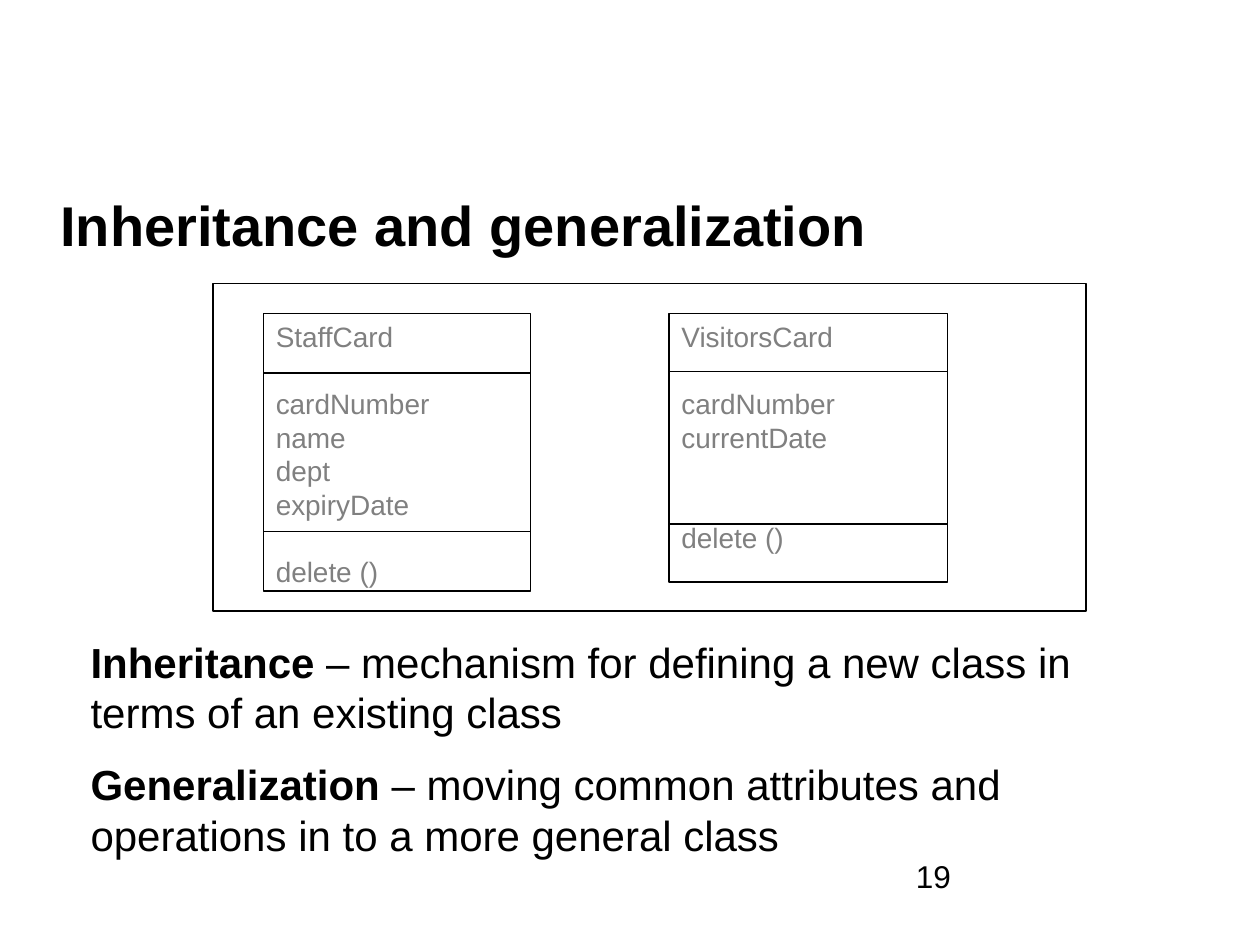
from lxml import etree
from pptx import Presentation
from pptx.dml.color import RGBColor
from pptx.enum.shapes import MSO_CONNECTOR, MSO_SHAPE
from pptx.enum.text import MSO_ANCHOR, MSO_AUTO_SIZE, PP_ALIGN
from pptx.oxml.ns import qn
from pptx.util import Inches, Pt

RECT = MSO_SHAPE.RECTANGLE
STRAIGHT = MSO_CONNECTOR.STRAIGHT
LEFT = PP_ALIGN.LEFT
TOP, MIDDLE = MSO_ANCHOR.TOP, MSO_ANCHOR.MIDDLE
NO_AUTOFIT = MSO_AUTO_SIZE.NONE

BLACK = RGBColor(0x00, 0x00, 0x00)
GRAY = RGBColor(0x80, 0x80, 0x80)
WHITE = RGBColor(0xFF, 0xFF, 0xFF)

TITLE_FONT = {"name": "Arial", "size": Pt(32), "bold": True}
BODY_FONT = {"name": "Arial", "size": Pt(24)}
NUMBER_FONT = {"name": "Arial", "size": Pt(18)}
CLASS_FONT = {"name": "Arial", "size": Pt(16)}
CLASS_LINE = 19  # points per line of class text

# name, box, divider heights, (text, lines skipped above)
CLASSES = [
    ("VisitorsCard", (5.31, 2.49, 2.21, 2.13), (0.46, 1.67),
     [("cardNumber", 1), ("currentDate", 0), ("delete ()", 2)]),
    ("StaffCard", (2.09, 2.49, 2.12, 2.2), (0.47, 1.73),
     [("cardNumber", 1), ("name", 0), ("dept", 0), ("expiryDate", 0),
      ("delete ()", 1)]),
]
DEFINITIONS = [
    ("Inheritance",
     " – mechanism for defining a new class in terms of an existing class"),
    ("Generalization",
     " – moving common attributes and operations in to a more general class"),
]


def inches(box):
    """Turn a tuple of numbers into lengths."""
    return [Inches(v) for v in box]


def add_run(p, text, font, color=BLACK, **extra):
    """Add a formatted run to a paragraph."""
    r = p.add_run()
    r.text = text
    for key, value in {**font, **extra}.items():
        setattr(r.font, key, value)
    r.font.color.rgb = color


def add_paragraph(tf, index):
    """Return the left-aligned paragraph at the index, new unless first."""
    p = tf.paragraphs[0] if index == 0 else tf.add_paragraph()
    p.alignment = LEFT
    return p


def set_frame(tf, anchor=TOP):
    """Set wrapping and anchoring of a text frame."""
    for key, value in {"word_wrap": True, "auto_size": NO_AUTOFIT,
                       "vertical_anchor": anchor}.items():
        setattr(tf, key, value)


def add_rect(shapes, box, width):
    """Add an unfilled, black-outlined rectangle."""
    sp = shapes.add_shape(RECT, *inches(box))
    sp.shadow.inherit = False
    sp.fill.background()
    sp.line.color.rgb = BLACK
    sp.line.width = Pt(width)
    return sp


def add_title(slide, box, text):
    """Place and format the title placeholder."""
    sp = slide.shapes.title
    sp.left, sp.top, sp.width, sp.height = inches(box)
    set_frame(sp.text_frame, MIDDLE)
    add_run(add_paragraph(sp.text_frame, 0), text, TITLE_FONT)


def add_class(slide, name, box, dividers, members):
    """Add a class box with its text and dividers as one group."""
    x, y, w, _ = box
    shapes = slide.shapes.add_group_shape().shapes
    sp = add_rect(shapes, box, 0.75)
    sp.fill.solid()
    sp.fill.fore_color.rgb = WHITE
    tf = sp.text_frame
    set_frame(tf)
    for i, (text, skipped) in enumerate([(name, 0)] + members):
        p = add_paragraph(tf, i)
        p.space_before = Pt(skipped * CLASS_LINE)
        add_run(p, text, CLASS_FONT, GRAY)
    for dy in dividers:
        line = shapes.add_connector(
            STRAIGHT, *inches((x, y + dy, x + w, y + dy)))
        line.line.color.rgb = BLACK
        line.line.width = Pt(0.75)
        etree.SubElement(line._element.spPr, qn("a:effectLst"))


def add_definitions(slide, box, definitions):
    """Add the definitions, each led by its bold term."""
    tf = slide.shapes.add_textbox(*inches(box)).text_frame
    set_frame(tf)
    for i, (term, meaning) in enumerate(definitions):
        p = add_paragraph(tf, i)
        p.space_before = Pt(12.5 if i else 0)
        add_run(p, term, BODY_FONT, bold=True)
        add_run(p, meaning, BODY_FONT, bold=False)


def add_number(slide, box, text):
    """Add the slide number."""
    tf = slide.shapes.add_textbox(*inches(box)).text_frame
    set_frame(tf)
    add_run(add_paragraph(tf, 0), text, NUMBER_FONT)


prs = Presentation()
prs.slide_width, prs.slide_height = Inches(10), Inches(7.5)
slide = prs.slides.add_slide(prs.slide_layouts[5])
add_number(slide, (7.17, 6.75, 2.08, 0.5), "19")
add_title(slide, (0.38, 1.4, 9.24, 0.76), "Inheritance and generalization")
add_definitions(slide, (0.62, 5, 8.51, 1.92), DEFINITIONS)
add_rect(slide.shapes, (1.69, 2.25, 6.93, 2.6), 1)
for item in CLASSES:
    add_class(slide, *item)
prs.save("out.pptx")
